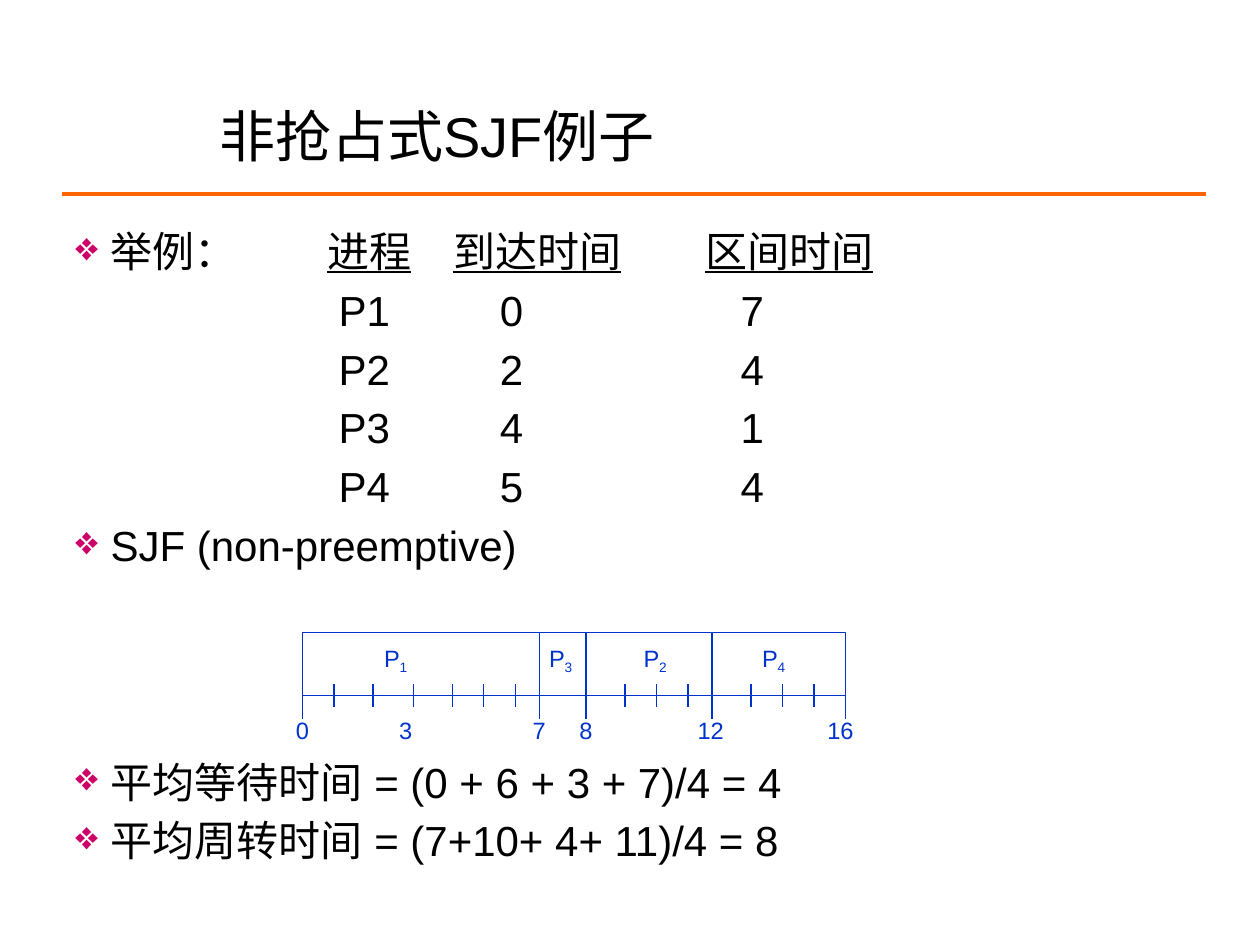
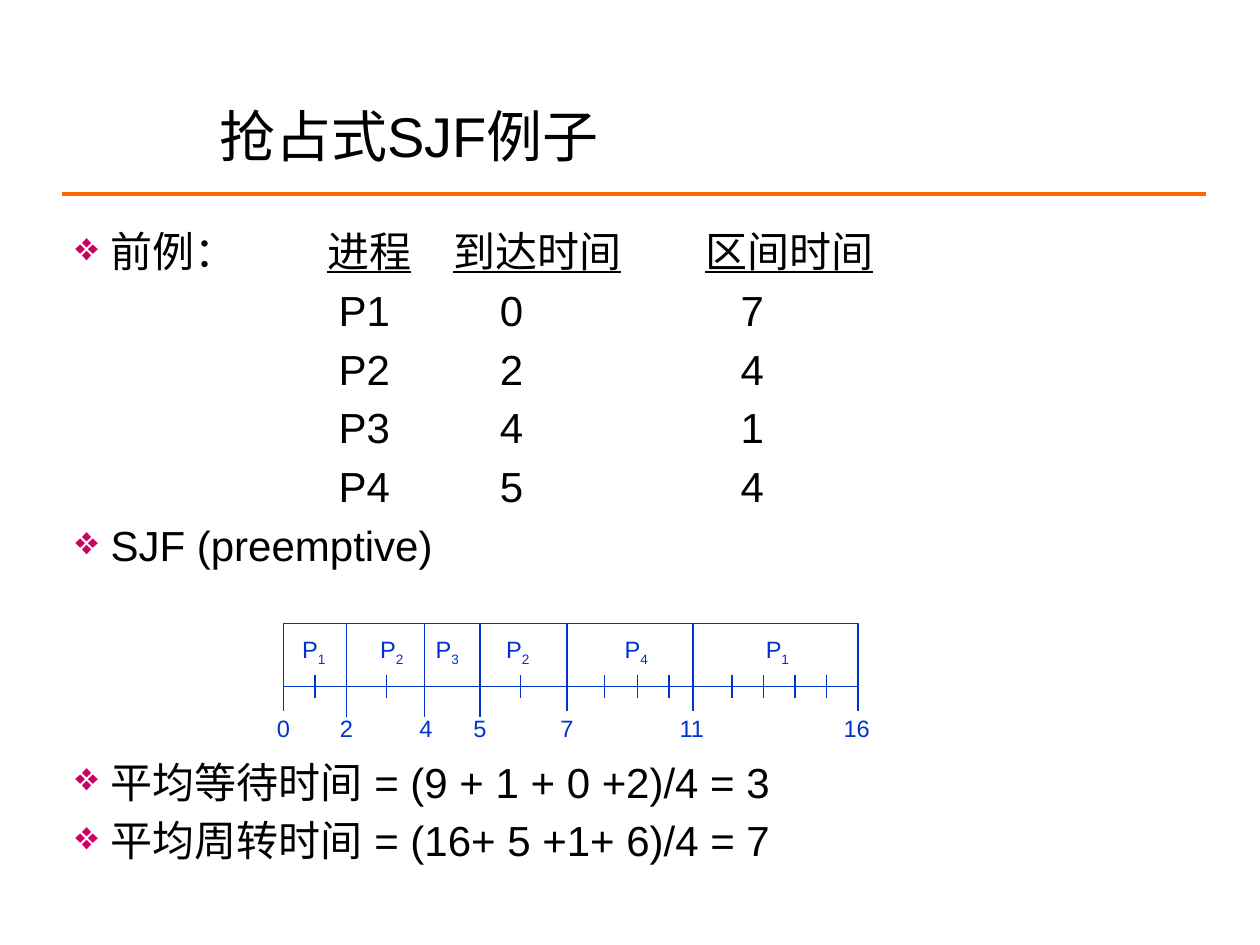
"""Build two slides that compare non-preemptive and preemptive SJF scheduling."""
from dataclasses import dataclass
from typing import Any

from lxml import etree
from pptx import Presentation
from pptx.dml.color import RGBColor
from pptx.enum.lang import MSO_LANGUAGE_ID
from pptx.enum.shapes import MSO_CONNECTOR, MSO_SHAPE
from pptx.enum.text import MSO_ANCHOR, PP_ALIGN
from pptx.oxml.ns import qn
from pptx.util import Inches, Pt

RECTANGLE = MSO_SHAPE.RECTANGLE
STRAIGHT = MSO_CONNECTOR.STRAIGHT
MIDDLE = MSO_ANCHOR.MIDDLE
TOP = MSO_ANCHOR.TOP
CENTER = PP_ALIGN.CENTER
CHINESE = MSO_LANGUAGE_ID.SIMPLIFIED_CHINESE


@dataclass(frozen=True)
class Theme:
    """Colours, font, type sizes and spacing shared by the slides."""
    ink: RGBColor = RGBColor.from_string("000000")
    paper: RGBColor = RGBColor.from_string("FFFFFF")
    rule: RGBColor = RGBColor.from_string("FF6600")
    chart: RGBColor = RGBColor.from_string("0033CC")
    bullet: str = "CC0066"
    font: str = "Arial"
    title_size: float = 32
    body_size: float = 24
    chart_size: float = 13.5
    row_gap: float = 4.8
    chart_gap: float = 106.5


@dataclass(frozen=True)
class Mark:
    """A labelled moment on the time axis."""
    time: str
    x: float
    label_x: float
    stem: float = 0.19
    has_stem: bool = True


@dataclass(frozen=True)
class Slot:
    """The label of one process on the time bar."""
    process: str
    x: float


@dataclass(frozen=True)
class Schedule:
    """The time bar of one slide."""
    top: float
    label_drop: float
    marks: tuple[Mark, ...]
    slots: tuple[Slot, ...]
    ticks: tuple[float, ...]


@dataclass(frozen=True)
class Lesson:
    """The content of one slide."""
    title: str
    lead: str
    method: str
    waiting: str
    turnaround: str
    schedule: Schedule


THEME = Theme()
BAR_HEIGHT = 0.5
TICK_REACH = 0.09
LABEL_WIDTH = 0.6
COLUMN_NAMES = ("进程", "到达时间", "区间时间")
COLUMN_TABS = (2.09, 3.37, 5.28)
PROCESSES = (("P1", 0, 7), ("P2", 2, 4), ("P3", 4, 1), ("P4", 5, 4))

LESSONS = (
    Lesson(
        "非抢占式SJF例子", "举例：", "SJF (non-preemptive)",
        "平均等待时间 = (0 + 6 + 3 + 7)/4 = 4",
        "平均周转时间 = (7+10+ 4+ 11)/4 = 8",
        Schedule(
            5.02, 0.11,
            (Mark("0", 2.4, 2.4), Mark("3", 3.28, 3.22, has_stem=False),
             Mark("7", 4.28, 4.28), Mark("8", 4.65, 4.65),
             Mark("12", 5.65, 5.64), Mark("16", 6.71, 6.67)),
            (Slot("1", 3.14), Slot("3", 4.45), Slot("2", 5.2), Slot("4", 6.14)),
            (2.65, 2.96, 3.28, 3.59, 3.84, 4.09, 4.96, 5.21, 5.46, 5.96, 6.21, 6.46),
        ),
    ),
    Lesson(
        "抢占式SJF例子", "前例：", "SJF (preemptive)",
        "平均等待时间 = (9 + 1 + 0 +2)/4 = 3",
        "平均周转时间 = (16+ 5 +1+ 6)/4 = 7",
        Schedule(
            4.95, 0.16,
            (Mark("0", 2.25, 2.25), Mark("2", 2.75, 2.75, 0.24),
             Mark("4", 3.37, 3.38, 0.24), Mark("5", 3.81, 3.81, 0.24),
             Mark("7", 4.5, 4.5), Mark("11", 5.5, 5.49), Mark("16", 6.81, 6.8)),
            (Slot("1", 2.49), Slot("2", 3.11), Slot("3", 3.55),
             Slot("2", 4.11), Slot("4", 5.05), Slot("1", 6.17)),
            (2.5, 3.07, 4.13, 4.8, 5.06, 5.31, 5.81, 6.06, 6.31, 6.56),
        ),
    ),
)


def apply_format(target: Any, values: dict[str, Any]) -> None:
    """Set each named attribute on the target."""
    for name, value in values.items():
        setattr(target, name, value)


def add_run(paragraph: Any, text: str, size: float, color: RGBColor,
            underline: bool = False) -> Any:
    """Add a run in the theme font and return it."""
    run = paragraph.add_run()
    run.text = text
    apply_format(run.font, {"name": THEME.font, "size": Pt(size),
                            "underline": underline, "language_id": CHINESE})
    run.font.color.rgb = color
    latin = run.font._element.find(qn("a:latin"))
    east_asian = etree.Element(qn("a:ea"), typeface=THEME.font)
    latin.addnext(east_asian)
    return run


def add_frame(slide: Any, left: float, top: float, width: float, height: float,
              anchor: MSO_ANCHOR = TOP, wrap: bool = True) -> Any:
    """Add a text box and return its text frame."""
    frame = slide.shapes.add_textbox(
        Inches(left), Inches(top), Inches(width), Inches(height)).text_frame
    apply_format(frame, {"word_wrap": wrap, "vertical_anchor": anchor})
    return frame


def add_line(slide: Any, start: tuple[float, float], end: tuple[float, float],
             color: RGBColor, weight: float) -> None:
    """Draw a straight line without a shadow."""
    line = slide.shapes.add_connector(
        STRAIGHT, *(Inches(length) for length in start + end))
    apply_format(line.line, {"width": Pt(weight)})
    line.line.color.rgb = color
    etree.SubElement(line._element.spPr, qn("a:effectLst"))


def add_bullet(paragraph: Any) -> None:
    """Give a paragraph the hanging diamond bullet and one-inch tabs."""
    properties = paragraph._p.get_or_add_pPr()
    properties.set("marL", str(Inches(0.28)))
    properties.set("indent", str(-Inches(0.28)))
    properties.set("defTabSz", str(Inches(1)))
    color = etree.SubElement(properties, qn("a:buClr"))
    etree.SubElement(color, qn("a:srgbClr"), val=THEME.bullet)
    etree.SubElement(properties, qn("a:buSzPct"), val="95000")
    etree.SubElement(properties, qn("a:buChar"), char="❖")


def add_column_tabs(paragraph: Any) -> None:
    """Set the tab stops of a process row."""
    properties = paragraph._p.get_or_add_pPr()
    tabs = etree.SubElement(properties, qn("a:tabLst"))
    for position in COLUMN_TABS:
        etree.SubElement(tabs, qn("a:tab"), pos=str(Inches(position)), algn="l")


def add_heading(slide: Any, title: str) -> None:
    """Draw the rule and the title above the content."""
    add_line(slide, (0.49, 1.54), (9.57, 1.54), THEME.rule, 2.25)
    frame = add_frame(slide, 1.64, 0.75, 7.26, 0.64, MIDDLE)
    add_run(frame.paragraphs[0], title, THEME.title_size, THEME.ink)


def add_body(slide: Any, lesson: Lesson) -> None:
    """Write the process rows and the bulleted results."""
    frame = add_frame(slide, 0.5, 1.74, 9, 4.95)
    header = frame.paragraphs[0]
    add_bullet(header)
    add_run(header, lesson.lead, THEME.body_size, THEME.ink)
    for name in COLUMN_NAMES:
        add_run(header, "\t", THEME.body_size, THEME.ink)
        add_run(header, name, THEME.body_size, THEME.ink, underline=True)

    for process in PROCESSES:
        row = frame.add_paragraph()
        row.space_before = Pt(THEME.row_gap)
        add_column_tabs(row)
        cells = "".join(f"\t{value}" for value in process)
        add_run(row, cells, THEME.body_size, THEME.ink)

    for text, gap in ((lesson.method, THEME.row_gap),
                      (lesson.waiting, THEME.chart_gap),
                      (lesson.turnaround, THEME.row_gap)):
        point = frame.add_paragraph()
        point.space_before = Pt(gap)
        add_bullet(point)
        add_run(point, text, THEME.body_size, THEME.ink)


def add_chart_label(slide: Any, center: float, top: float, text: str,
                    subscript: str = "") -> None:
    """Write a centred label on the time bar."""
    frame = add_frame(slide, center - LABEL_WIDTH / 2, top, LABEL_WIDTH, 0.33,
                      MIDDLE, wrap=False)
    label = frame.paragraphs[0]
    label.alignment = CENTER
    add_run(label, text, THEME.chart_size, THEME.chart)
    if subscript:
        index = add_run(label, subscript, THEME.chart_size, THEME.chart)
        index.font._element.set("baseline", "-25000")


def add_schedule(slide: Any, schedule: Schedule) -> None:
    """Draw the time bar with its processes, ticks and times."""
    first, last = schedule.marks[0], schedule.marks[-1]
    base = schedule.top + BAR_HEIGHT
    bar = slide.shapes.add_shape(
        RECTANGLE, Inches(first.x), Inches(schedule.top),
        Inches(last.x - first.x), Inches(BAR_HEIGHT))
    bar.shadow.inherit = False
    bar.fill.solid()
    bar.fill.fore_color.rgb = THEME.paper
    bar.line.color.rgb = THEME.chart
    bar.line.width = Pt(0.75)

    for x in schedule.ticks:
        add_line(slide, (x, base - TICK_REACH), (x, base + TICK_REACH),
                 THEME.chart, 0.75)
    for mark in schedule.marks:
        if mark.has_stem:
            start = base if mark in (first, last) else schedule.top
            add_line(slide, (mark.x, start), (mark.x, base + mark.stem),
                     THEME.chart, 0.75)
        add_chart_label(slide, mark.label_x, base + schedule.label_drop, mark.time)
    for slot in schedule.slots:
        add_chart_label(slide, slot.x, schedule.top + 0.05, "P", slot.process)


def main() -> None:
    """Build and save the presentation."""
    deck = Presentation()
    apply_format(deck, {"slide_width": Inches(10), "slide_height": Inches(7.5)})
    for lesson in LESSONS:
        slide = deck.slides.add_slide(deck.slide_layouts[6])
        add_heading(slide, lesson.title)
        add_body(slide, lesson)
        add_schedule(slide, lesson.schedule)
    deck.save("out.pptx")


if __name__ == "__main__":
    main()
